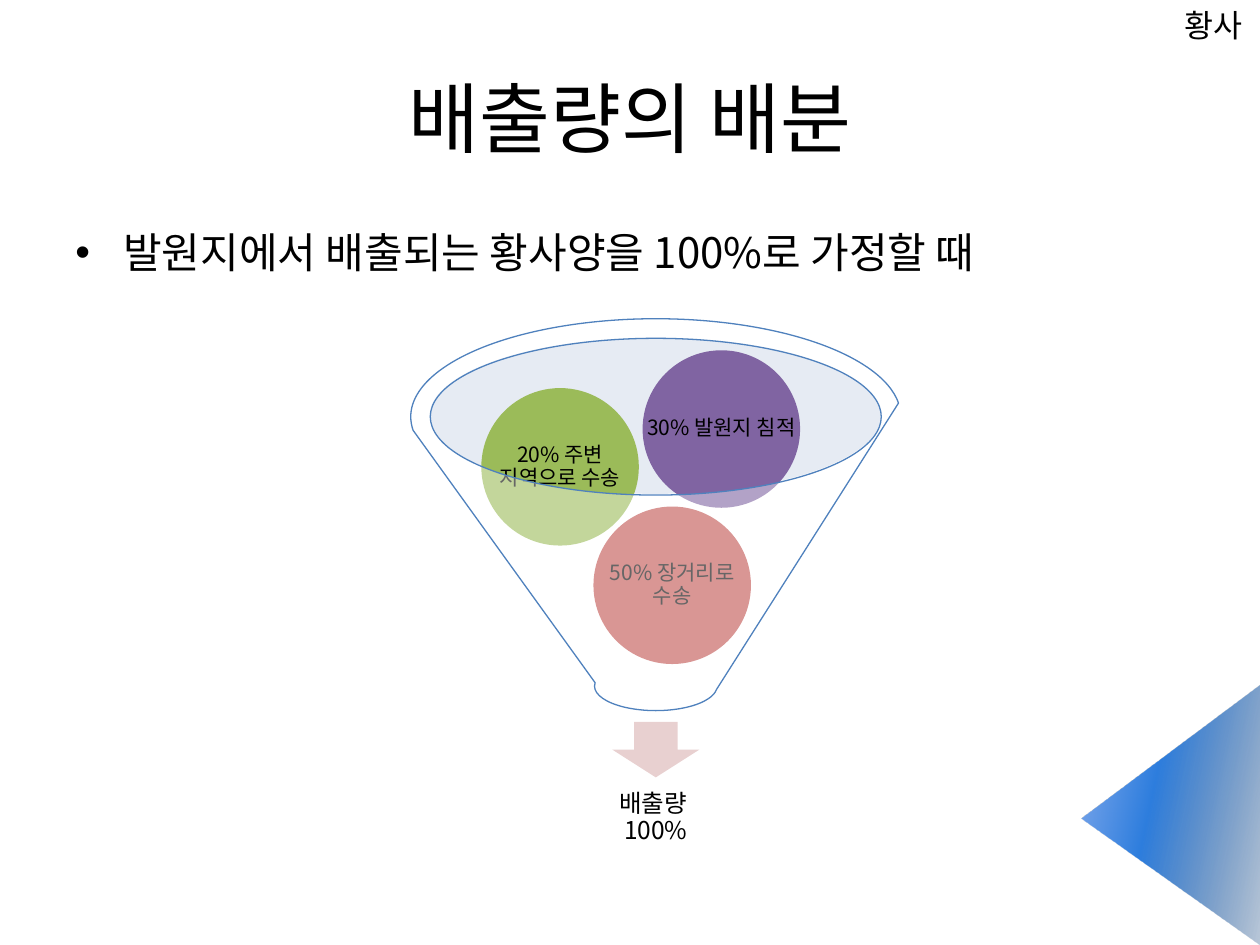
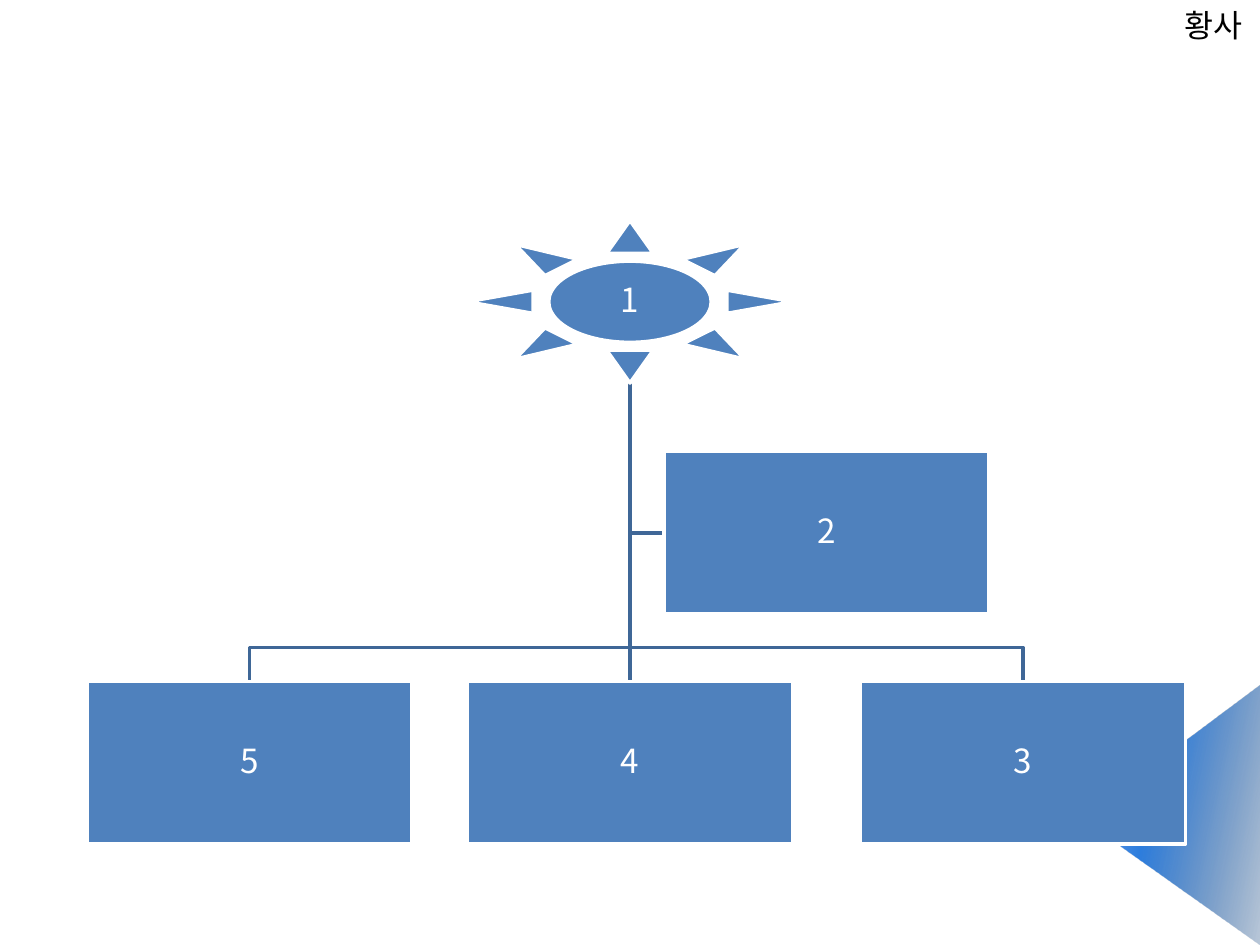
import pptx
import pptx.dml.color
import pptx.enum.shapes
import pptx.enum.text
import pptx.oxml.ns
import pptx.util
from lxml import etree

Inches = pptx.util.Inches
Pt = pptx.util.Pt
RGBColor = pptx.dml.color.RGBColor
SHAPE = pptx.enum.shapes.MSO_SHAPE
CENTER = pptx.enum.text.PP_ALIGN.CENTER
MIDDLE = pptx.enum.text.MSO_ANCHOR.MIDDLE
qn = pptx.oxml.ns.qn

FONT = "Noto Sans CJK KR"
BLACK = RGBColor(0x00, 0x00, 0x00)
WHITE = RGBColor(0xFF, 0xFF, 0xFF)
BLUE = RGBColor(0x4F, 0x81, 0xBD)
LINE_BLUE = RGBColor(0x3F, 0x67, 0x97)
PALE_BLUE = RGBColor(0xC2, 0xCD, 0xE1)
PALE_RED = RGBColor(0xE8, 0xD0, 0xD0)
RED = RGBColor(0xC0, 0x50, 0x4D)
GREEN = RGBColor(0x9B, 0xBB, 0x59)
PURPLE = RGBColor(0x80, 0x64, 0xA2)

# Corner gradient: position %, colour, opacity %
CORNER_STOPS = [(0, "1D4B82", 30), (60, "2E7EDE", 100), (100, "88ADED", 100)]

NODE_WIDTH, NODE_HEIGHT = 2.58, 1.29
TRUNK_X, TRUNK_TOP, BRANCH_Y, ROW_TOP = 5, 3.04, 5.14, 5.41


def write(box, text, size, color=BLACK, align=None, inset=None, spacing=None):
    """Set the text of a shape and format every run."""
    frame = box.text_frame
    frame.word_wrap = True
    frame.text = text
    if inset is not None:
        frame.margin_left = frame.margin_right = Inches(inset)
        frame.margin_top = frame.margin_bottom = Inches(inset)
        frame.vertical_anchor = MIDDLE
    for para in frame.paragraphs:
        para.alignment = align
        para.line_spacing = spacing
        for span in para.runs:
            span.font.size = Pt(size)
            span.font.name = FONT
            span.font.color.rgb = color


def add_text(page, at, text, size, **options):
    box = page.shapes.add_textbox(*map(Inches, at))
    write(box, text, size, **options)
    return box


def add_figure(page, kind, at, fill, line=None, width=1, opacity=100):
    figure = page.shapes.add_shape(kind, *map(Inches, at))
    figure.shadow.inherit = False
    figure.fill.solid()
    figure.fill.fore_color.rgb = fill
    if opacity < 100:
        color = figure.fill._xPr.find(qn("a:solidFill"))[0]
        etree.SubElement(color, qn("a:alpha")).set("val", str(opacity * 1000))
    if line is None:
        figure.line.fill.background()
    else:
        figure.line.color.rgb = line
        figure.line.width = Pt(width)
    return figure


def set_gradient(figure, stops, angle):
    figure.fill.gradient()
    figure.fill.gradient_angle = angle
    stop_list = figure.fill._fill._gradFill.find(qn("a:gsLst"))
    for old_stop in list(stop_list):
        stop_list.remove(old_stop)
    for position, color, opacity in stops:
        stop = etree.SubElement(stop_list, qn("a:gs"), pos=str(position * 1000))
        value = etree.SubElement(stop, qn("a:srgbClr"), val=color)
        if opacity < 100:
            etree.SubElement(value, qn("a:alpha"), val=str(opacity * 1000))


def decorate_master(deck, page):
    """Build the corner label and triangle, then move them to the master."""
    label = add_text(page, (9.3, 0, 0.7, 0.4), "황사", 18)
    label.text_frame.word_wrap = False
    corner = add_figure(page, SHAPE.ISOSCELES_TRIANGLE,
                        (8.26, 5.76, 2.07, 1.42), BLUE)
    corner.rotation = 270
    corner.adjustments[0] = 0.487
    set_gradient(corner, CORNER_STOPS, 78)
    for number, item in enumerate((label, corner), start=20):
        item._element.nvSpPr.cNvPr.set("id", str(number))
        deck.slide_master.shapes._spTree.append(item._element)


def add_title(page, text):
    title = page.shapes.title
    title.left, title.top = Inches(0.5), Inches(0.3)
    title.width, title.height = Inches(9), Inches(1.25)
    write(title, text, 44, align=CENTER)
    title.text_frame.vertical_anchor = MIDDLE


def add_bullet(page, at, text):
    box = add_text(page, at, text, 24)
    properties = box.text_frame.paragraphs[0]._p.get_or_add_pPr()
    properties.set("marL", str(Inches(0.38)))
    properties.set("indent", str(Inches(-0.38)))
    etree.SubElement(properties, qn("a:buFont"), typeface="Arial")
    etree.SubElement(properties, qn("a:buChar"), char="•")


def add_ball(page, left, top, color, text):
    at = (left, top, 1.25, 1.25)
    add_figure(page, SHAPE.OVAL, at, color)
    add_text(page, at, text, 12, align=CENTER, inset=0.02, spacing=0.9)


def add_node(page, kind, left, top, text):
    node = add_figure(page, kind, (left, top, NODE_WIDTH, NODE_HEIGHT),
                      BLUE, WHITE, 2)
    write(node, text, 19, WHITE, align=CENTER, inset=0.01, spacing=0.9)
    return node


def add_branch(page, *points):
    """Bent line that starts at the foot of the top node."""
    builder = page.shapes.build_freeform(
        Inches(TRUNK_X), Inches(TRUNK_TOP), scale=1.0)
    builder.add_line_segments(
        [(Inches(x), Inches(y)) for x, y in points], close=False)
    branch = builder.convert_to_shape()
    branch.shadow.inherit = False
    branch.fill.background()
    branch.line.color.rgb = LINE_BLUE
    branch.line.width = Pt(2)


def add_trunk(page):
    trunk = page.shapes.add_connector(
        pptx.enum.shapes.MSO_CONNECTOR.STRAIGHT, Inches(TRUNK_X),
        Inches(TRUNK_TOP), Inches(TRUNK_X), Inches(ROW_TOP))
    trunk.line.color.rgb = LINE_BLUE
    trunk.line.width = Pt(2)
    etree.SubElement(trunk._element.spPr, qn("a:effectLst"))
    return trunk


def build_funnel_page(page):
    add_title(page, "배출량의 배분")
    add_bullet(page, (0.5, 1.75, 9, 1.22),
               "발원지에서 배출되는 황사양을 100%로 가정할 때")

    # Funnel mouth and outlet
    add_figure(page, SHAPE.OVAL, (3.41, 2.68, 3.58, 1.24), PALE_BLUE, opacity=40)
    add_figure(page, SHAPE.DOWN_ARROW, (4.86, 5.73, 0.69, 0.44), PALE_RED)
    add_text(page, (3.54, 6.08, 3.33, 0.83), "배출량 \v100%", 14,
             align=CENTER, inset=0.11, spacing=0.9)

    # Shares under the translucent funnel
    add_ball(page, 4.71, 4.02, RED, "50% 장거리로 수송")
    add_ball(page, 3.82, 3.08, GREEN, "20% 주변 지역으로 수송")
    add_ball(page, 5.1, 2.78, PURPLE, "30% 발원지 침적")
    add_figure(page, SHAPE.FUNNEL, (3.26, 2.53, 3.89, 3.11),
               WHITE, BLUE, 0.75, opacity=40)


def build_tree_page(page):
    row = [("3", 6.83), ("4", 3.71), ("5", 0.69)]

    # Lines lie behind the nodes
    add_branch(page, (TRUNK_X, 4.23), (5.27, 4.23))
    for text, left in row:
        center = left + NODE_WIDTH / 2
        if text != "4":
            add_branch(page, (TRUNK_X, BRANCH_Y), (center, BRANCH_Y),
                       (center, ROW_TOP))
    trunk = add_trunk(page)

    # Nodes
    sun = add_node(page, SHAPE.SUN, 3.71, 1.75, "1")
    nodes = {text: add_node(page, SHAPE.RECTANGLE, left, ROW_TOP, text)
             for text, left in row}
    add_node(page, SHAPE.RECTANGLE, 5.27, 3.58, "2")
    trunk.begin_connect(sun, 2)
    trunk.end_connect(nodes["4"], 0)


def main():
    deck = pptx.Presentation()
    deck.slide_width, deck.slide_height = Inches(10), Inches(7.5)
    title_only, blank = deck.slide_layouts[5], deck.slide_layouts[6]
    funnel_page = deck.slides.add_slide(title_only)
    decorate_master(deck, funnel_page)
    build_funnel_page(funnel_page)
    build_tree_page(deck.slides.add_slide(blank))
    deck.save("out.pptx")


if __name__ == "__main__":
    main()
